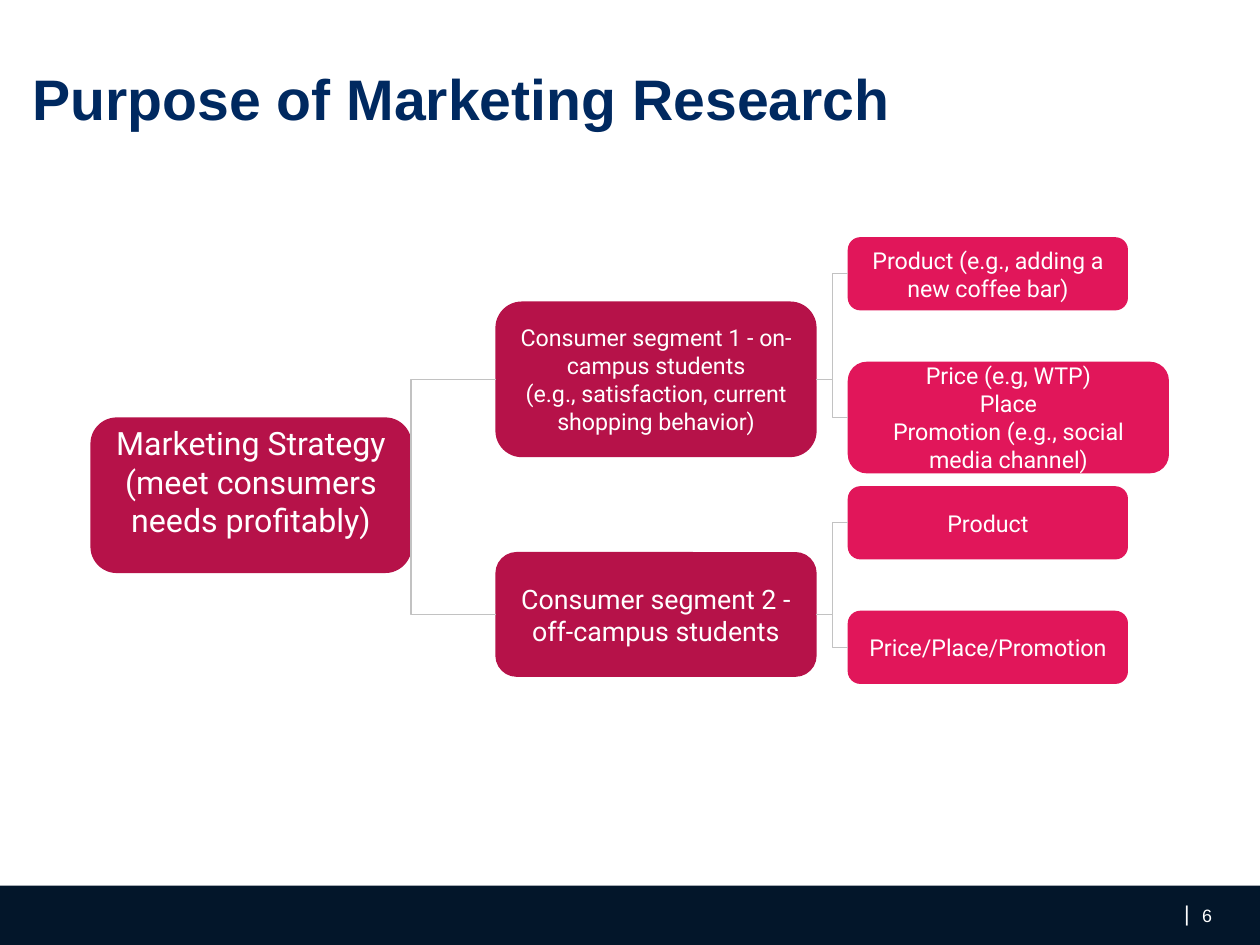
from lxml import etree
from pptx import Presentation
from pptx import util as u
from pptx.dml.color import RGBColor
from pptx.enum import shapes, text
from pptx.oxml import ns

Cm, Pt = u.Cm, u.Pt
WHITE = RGBColor(0xFF, 0xFF, 0xFF)
NAVY = RGBColor(0x00, 0x29, 0x60)
DARK = RGBColor(0x03, 0x16, 0x2A)
WINE = RGBColor(0xB6, 0x12, 0x49)
PINK = RGBColor(0xE1, 0x16, 0x5A)
GREY = RGBColor(0xC2, 0xC2, 0xC2)

TITLE = "Purpose of Marketing Research"
ROOT = "Marketing Strategy (meet consumers needs profitably)"
WIDE, SLIM = 6.32, 5.51
SEGS = [
    ("Consumer segment 1 - on-campus students\n"
     "(e.g., satisfaction, current shopping behavior)", 5.97, 3.05, 13,
     [("Product (e.g., adding a new coffee bar)", SLIM, 1.42),
      ("Price (e.g, WTP)\nPlace\nPromotion (e.g., social media channel)",
       WIDE, 2.18)]),
    ("Consumer segment 2 - off-campus students", 10.92, 2.44, 15,
     [("Product", SLIM, 1.42),
      ("Price/Place/Promotion", SLIM, 1.42)]),
]
COLS = (1.8, 9.8, 16.76)
TOP, STEP = 4.7, 2.46
FOOT = [("|", 23.39, 17.78, 0.1, 0.51, 12), ("6", 23.75, 17.88, 0.53, 0.43, 10)]

prs = Presentation()
prs.slide_width, prs.slide_height = Cm(24.89), Cm(18.67)
slide = prs.slides.add_slide(prs.slide_layouts[5])


def style(frame, font, size, color, align, bold=False):
    for par in frame.paragraphs:
        par.alignment = align
        for run in par.runs:
            run.font.name, run.font.size = font, Pt(size)
            run.font.color.rgb, run.font.bold = color, bold


def clear(frame):
    frame.margin_left = frame.margin_right = 0
    frame.margin_top = frame.margin_bottom = 0


def block(kind, x, y, w, h, color):
    shape = slide.shapes.add_shape(kind, Cm(x), Cm(y), Cm(w), Cm(h))
    shape.shadow.inherit = False
    shape.fill.solid()
    shape.fill.fore_color.rgb = color
    shape.line.color.rgb = color
    shape.line.width = Pt(0.75)
    return shape


def node(words, x, y, w, h, color, size):
    shape = block(shapes.MSO_SHAPE.ROUNDED_RECTANGLE, x, y, w, h, color)
    frame = shape.text_frame
    frame.text = words
    frame.word_wrap = True
    frame.vertical_anchor = text.MSO_ANCHOR.MIDDLE
    frame.margin_left = frame.margin_right = Cm(0.25)
    frame.margin_top = frame.margin_bottom = Cm(0.25)
    style(frame, "Roboto", size, WHITE, text.PP_ALIGN.CENTER)
    return shape


def link(start, end, bend):
    line = slide.shapes.add_connector(shapes.MSO_CONNECTOR.ELBOW, 0, 0, 0, 0)
    line.begin_connect(start, 3)
    line.end_connect(end, 1)
    line.line.color.rgb = GREY
    line.line.width = Pt(0.75)
    props = line._element.spPr
    etree.SubElement(props, ns.qn("a:effectLst"))
    guides = props.find(ns.qn("a:prstGeom")).get_or_add_avLst()
    etree.SubElement(guides, ns.qn("a:gd"), name="adj1", fmla=f"val {bend}")


title = slide.shapes.title
title.left, title.top, title.width, title.height = Cm(0.64), Cm(1.24), Cm(22.4), Cm(1.37)
title.text_frame.text = TITLE
title.text_frame.vertical_anchor = text.MSO_ANCHOR.MIDDLE
clear(title.text_frame)
style(title.text_frame, "Arial", 32, NAVY, text.PP_ALIGN.LEFT, True)

root = node(ROOT, COLS[0], 8.26, WIDE, 3.05, WINE, 18)
root.text_frame.margin_bottom = Cm(0.8)
row = 0
for words, y, h, size, leaves in SEGS:
    seg = node(words, COLS[1], y, WIDE, h, WINE, size)
    link(root, seg, 0)
    for label, wide, high in leaves:
        leaf = node(label, COLS[2], TOP + row * STEP, wide, high, PINK, 13)
        link(seg, leaf, 50000)
        row += 1

block(shapes.MSO_SHAPE.RECTANGLE, 0, 17.5, 24.89, 1.17, DARK).line.fill.background()
for words, x, y, w, h, size in FOOT:
    frame = slide.shapes.add_textbox(Cm(x), Cm(y), Cm(w), Cm(h)).text_frame
    frame.text = words
    clear(frame)
    style(frame, "Arial", size, WHITE, text.PP_ALIGN.LEFT)

prs.save("out.pptx")
